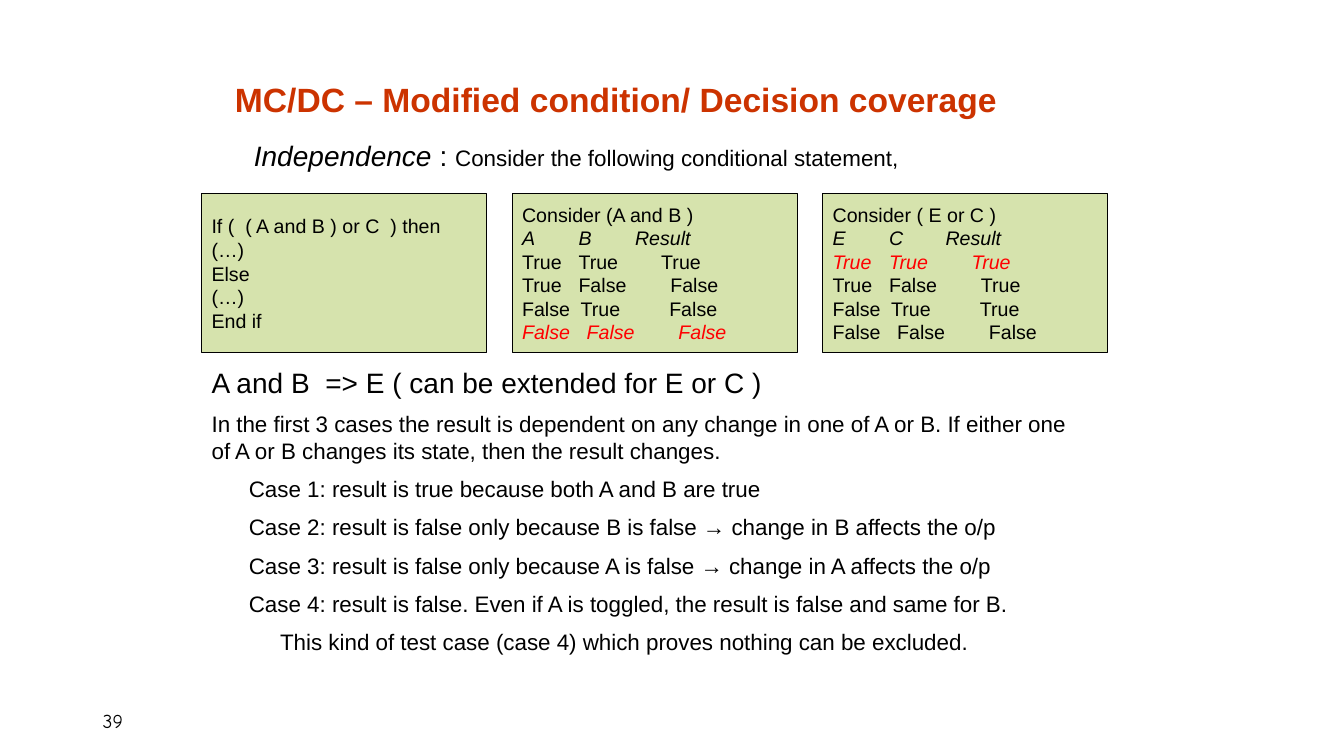
from lxml import etree
from pptx import Presentation
from pptx.dml.color import RGBColor
from pptx.enum import shapes, text
from pptx.oxml import ns
from pptx.util import Inches, Pt

COLORS = {"ink": "000000", "title": "CC3300", "panel": "D6E3AD", "excluded": "FF0000"}
HEADER_STOPS = (0.56, 1.12)
ROW_STOPS = {
    ("True", "True"): (0.56, 1.38),
    ("True", "False"): (0.56, 1.47),
    ("False", "True"): (0.58, 1.46),
    ("False", "False"): (0.64, 1.55),
}
CODE = ["If (  ( A and B ) or C  ) then", "(…)", "Else", "(…)", "End if"]
TRUTH_TABLES = [
    ("Consider (A and B )", ("A", "B", "Result"), ("True", "False", "False", "False"), 3),
    ("Consider ( E or C )", ("E", "C", "Result"), ("True", "True", "True", "False"), 0),
]
EXPLANATION = [
    ("A and B  => E ( can be extended for E or C )", 20, 0),
    ("In the first 3 cases the result is dependent on any change in one of A or B. "
     "If either one of A or B changes its state, then the result changes.", 16, 0),
    ("Case 1: result is true because both A and B are true", 16, 0.37),
    ("Case 2: result is false only because B is false → change in B affects the o/p", 16, 0.37),
    ("Case 3: result is false only because A is false → change in A affects the o/p", 16, 0.37),
    ("Case 4: result is false. Even if A is toggled, the result is false and same for B.", 16, 0.37),
    ("This kind of test case (case 4) which proves nothing can be excluded.", 16, 0.68),
]


def add_span(para, words, size, color="ink", bold=False, italic=False, font="Arial"):
    """Add one formatted run to a paragraph."""
    span = para.add_run()
    span.text = words
    span.font.name = font
    span.font.size = Pt(size)
    span.font.bold = bold
    span.font.italic = italic
    span.font.color.rgb = RGBColor.from_string(COLORS[color])


def add_para(frame):
    """Return the unused first paragraph, or a new one, aligned left."""
    first = frame.paragraphs[0]
    para = frame.add_paragraph() if first.runs else first
    para.alignment = text.PP_ALIGN.LEFT
    return para


def set_tab_stops(para, stops):
    """Give a paragraph left tab stops, in inches."""
    tab_list = etree.SubElement(para._p.get_or_add_pPr(), ns.qn("a:tabLst"))
    for stop in stops:
        etree.SubElement(tab_list, ns.qn("a:tab"), pos=str(Inches(stop)), algn="l")


def add_text_frame(page, left, top, width, height):
    """Add a wrapping text box and return its frame."""
    box = page.shapes.add_textbox(Inches(left), Inches(top), Inches(width), Inches(height))
    box.text_frame.word_wrap = True
    return box.text_frame


def add_title(page, left, top, width, height):
    """Place and fill the title placeholder."""
    title = page.shapes.title
    title.left, title.top = Inches(left), Inches(top)
    title.width, title.height = Inches(width), Inches(height)
    frame = title.text_frame
    frame.vertical_anchor = text.MSO_ANCHOR.MIDDLE
    para = add_para(frame)
    para.line_spacing = 0.9
    add_span(para, "MC/DC – Modified condition/ Decision coverage", 24, "title", bold=True)


def add_intro(page, left, top, width, height):
    """Add the line that introduces independence."""
    para = add_para(add_text_frame(page, left, top, width, height))
    add_span(para, "Independence", 20, italic=True)
    add_span(para, " : ", 20)
    add_span(para, "Consider the following conditional statement,", 16)


def add_panel(page, left, top, width, height):
    """Add a green outlined panel and return its text frame."""
    panel = page.shapes.add_shape(shapes.MSO_SHAPE.RECTANGLE, Inches(left), Inches(top),
                                  Inches(width), Inches(height))
    panel.shadow.inherit = False
    panel.fill.solid()
    panel.fill.fore_color.rgb = RGBColor.from_string(COLORS["panel"])
    panel.line.color.rgb = RGBColor.from_string(COLORS["ink"])
    panel.line.width = Pt(0.75)
    panel.text_frame.word_wrap = True
    panel.text_frame.vertical_anchor = text.MSO_ANCHOR.MIDDLE
    return panel.text_frame


def fill_truth_table(frame, heading, names, results, excluded):
    """Write a truth table whose excluded row is red italic."""
    add_span(add_para(frame), heading, 14)
    header = add_para(frame)
    set_tab_stops(header, HEADER_STOPS)
    add_span(header, "\t".join(names), 14, italic=True)
    for index, (inputs, stops) in enumerate(ROW_STOPS.items()):
        para = add_para(frame)
        set_tab_stops(para, stops)
        marked = index == excluded
        add_span(para, "\t".join((*inputs, results[index])), 14,
                 "excluded" if marked else "ink", italic=marked)


def add_panels(page, left, top, width, height, gap):
    """Add the code panel and the truth tables in a row."""
    code_frame = add_panel(page, left, top, width, height)
    for line in CODE:
        add_span(add_para(code_frame), line, 14)
    for column, table in enumerate(TRUTH_TABLES, start=1):
        frame = add_panel(page, left + column * (width + gap), top, width, height)
        fill_truth_table(frame, *table)


def add_explanation(page, left, top, width, height):
    """Add the reasoning and the four cases."""
    frame = add_text_frame(page, left, top, width, height)
    for index, (words, size, indent) in enumerate(EXPLANATION):
        para = add_para(frame)
        para.space_before = Pt(8 if index else 0)
        para._p.get_or_add_pPr().set("marL", str(Inches(indent)))
        add_span(para, words, size)


def add_page_number(page, left, top, width, height):
    """Add the page number."""
    frame = add_text_frame(page, left, top, width, height)
    frame.vertical_anchor = text.MSO_ANCHOR.MIDDLE
    add_span(add_para(frame), "39", 14, font="Comic Neue")


def main():
    """Build and save the deck."""
    deck = Presentation()
    deck.slide_width, deck.slide_height = Inches(13.33), Inches(7.5)
    page = deck.slides.add_slide(deck.slide_layouts[5])
    add_page_number(page, 0.92, 6.95, 3, 0.4)
    add_title(page, 2.23, 0.75, 8.77, 0.51)
    add_intro(page, 2.42, 1.33, 7.67, 0.43)
    add_panels(page, 2, 1.92, 2.83, 1.58, gap=0.25)
    add_explanation(page, 2, 3.58, 8.92, 3.13)
    deck.save("out.pptx")


if __name__ == "__main__":
    main()
